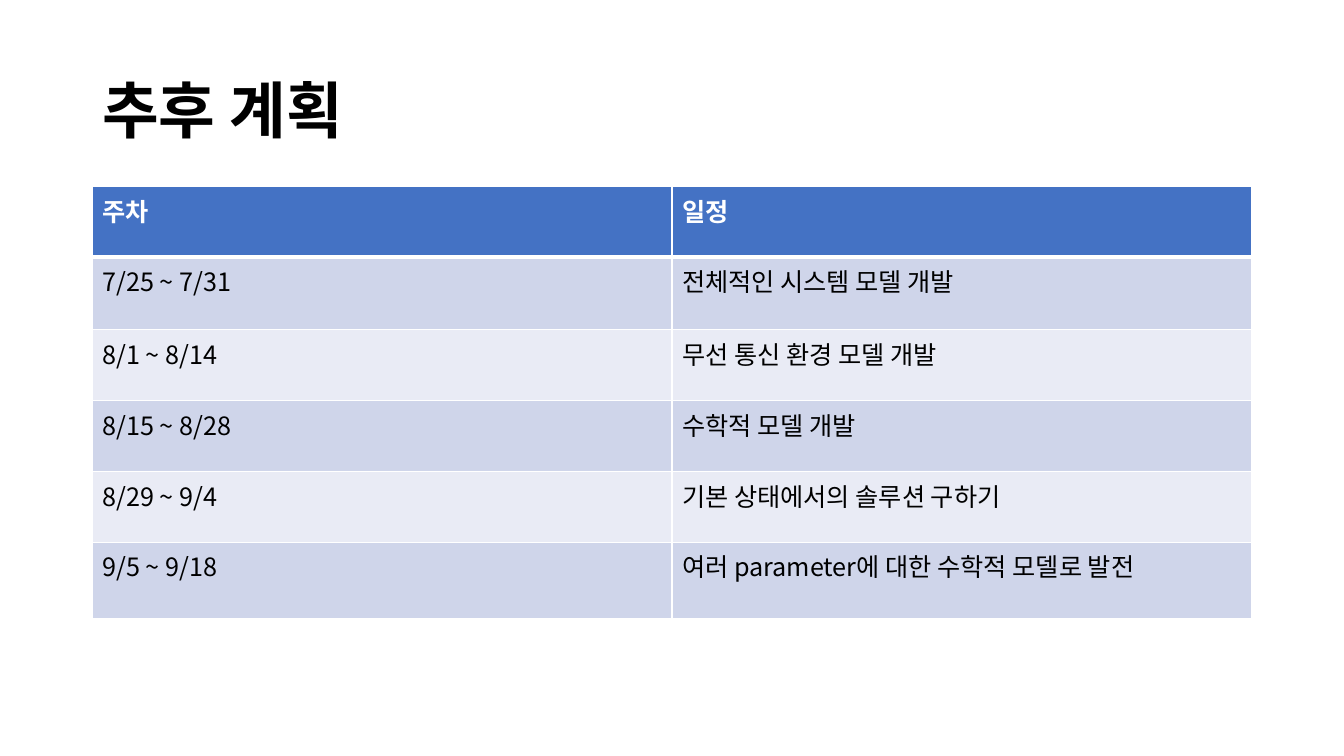
from lxml.etree import SubElement
from pptx import Presentation
from pptx.dml.color import RGBColor
from pptx.enum.text import MSO_ANCHOR
from pptx.oxml.ns import qn
from pptx.util import Pt

FONT = "Noto Sans CJK KR"
TITLE = "추후 계획"
SCHEDULE = [
    ("주차", "일정"),
    ("7/25 ~ 7/31", "전체적인 시스템 모델 개발"),
    ("8/1 ~ 8/14", "무선 통신 환경 모델 개발"),
    ("8/15 ~ 8/28", "수학적 모델 개발"),
    ("8/29 ~ 9/4", "기본 상태에서의 솔루션 구하기"),
    ("9/5 ~ 9/18", "여러 parameter에 대한 수학적 모델로 발전"),
]
ROW_HEIGHTS = [50.4, 51.8, 50.7, 50.7, 50.7, 54.4]
BLACK, WHITE, HEADER_BLUE = "000000", "FFFFFF", "4472C4"
BANDS = ["E9EBF5", "CFD5EA"]
LEFT, WIDTH = 66, 828


def paint(color_format, color):
    color_format.rgb = RGBColor.from_string(color)


def add_run(paragraph, text, size, color, bold):
    run = paragraph.add_run()
    run.text = text
    run.font.size = Pt(size)
    run.font.bold = bold
    run.font.name = FONT
    paint(run.font.color, color)
    SubElement(run.font._element, qn("a:ea"), typeface=FONT)


def add_border(cell, side, width):
    line = SubElement(cell._tc.get_or_add_tcPr(), qn("a:" + side), w=str(Pt(width)))
    SubElement(SubElement(line, qn("a:solidFill")), qn("a:srgbClr"), val=WHITE)


def add_title(slide):
    frame = slide.shapes.add_textbox(Pt(LEFT), Pt(28.8), Pt(WIDTH), Pt(104.4)).text_frame
    frame.word_wrap = True
    frame.vertical_anchor = MSO_ANCHOR.MIDDLE
    heading = frame.paragraphs[0]
    heading.line_spacing = 0.9
    add_run(heading, TITLE, 44, BLACK, True)


def add_schedule(slide):
    table = slide.shapes.add_table(
        len(SCHEDULE), 2, Pt(LEFT), Pt(133.4), Pt(WIDTH), Pt(sum(ROW_HEIGHTS))
    ).table
    for row, (entries, height) in enumerate(zip(SCHEDULE, ROW_HEIGHTS)):
        table.rows[row].height = Pt(height)
        header = row == 0
        for column, entry in enumerate(entries):
            cell = table.cell(row, column)
            add_run(cell.text_frame.paragraphs[0], entry, 18, WHITE if header else BLACK, header)
            for side in ("lnL", "lnR", "lnT", "lnB"):
                under_header = (row, side) in ((0, "lnB"), (1, "lnT"))
                add_border(cell, side, 3 if under_header else 1)
            cell.fill.solid()
            paint(cell.fill.fore_color, HEADER_BLUE if header else BANDS[row % 2])


def main():
    deck = Presentation()
    deck.slide_width, deck.slide_height = Pt(960), Pt(540)
    slide = deck.slides.add_slide(deck.slide_layouts[6])
    add_title(slide)
    add_schedule(slide)
    deck.save("out.pptx")


if __name__ == "__main__":
    main()
